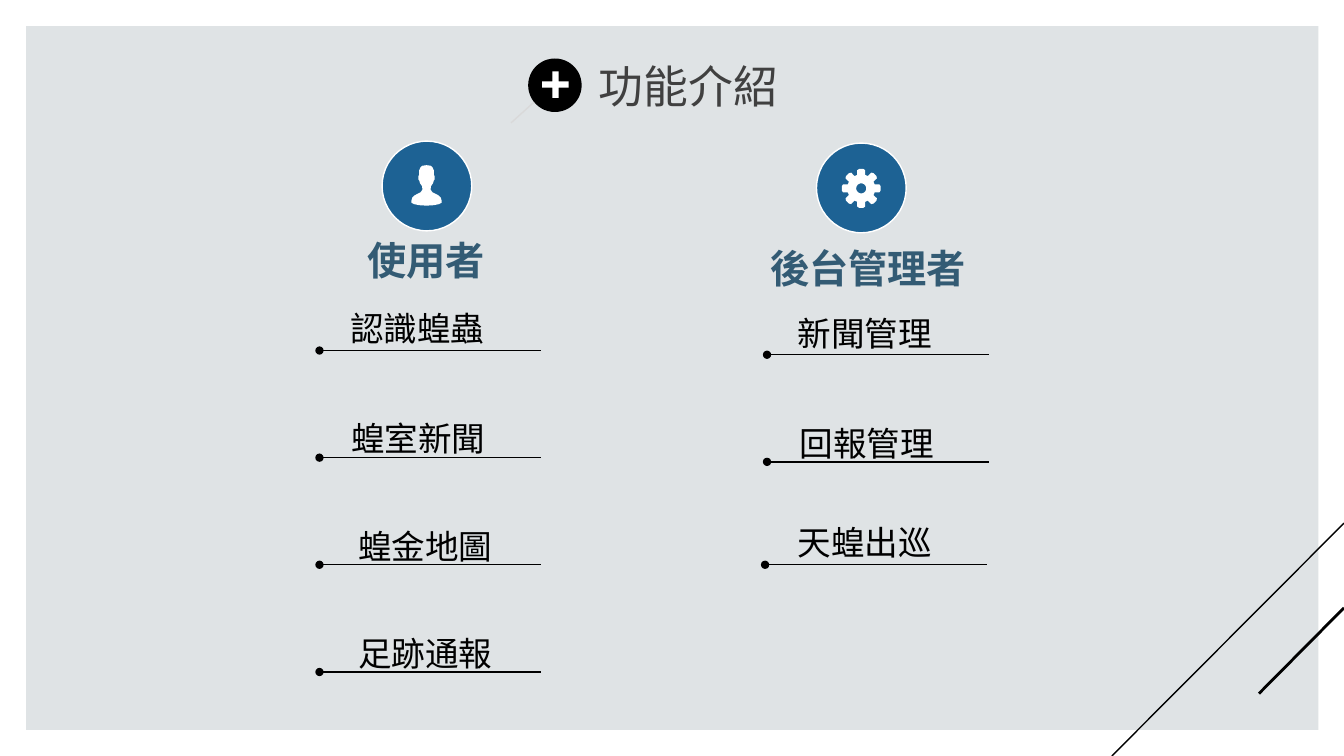
"""Build the feature overview slide with its user and administrator columns."""
from dataclasses import dataclass
from math import cos, radians, sin

from lxml.etree import SubElement
from pptx import Presentation
from pptx.dml.color import RGBColor
from pptx.enum.shapes import MSO_CONNECTOR as Connector, MSO_SHAPE as Preset
from pptx.enum.text import MSO_ANCHOR as Anchor, MSO_AUTO_SIZE as AutoSize, PP_ALIGN as Align
from pptx.oxml.ns import qn
from pptx.util import Pt

FONT = "League Spartan"
BLACK, WHITE, BLUE, SLATE = "000000", "FFFFFF", "1D6294", "335B74"
RULE_LENGTH = 158.4
BADGE_SIZE = 64.1

Point = tuple[float, float]


@dataclass
class Feature:
    text: str
    left: float
    top: float
    rule_left: float
    rule_top: float


@dataclass
class Role:
    name: str
    left: float
    top: float
    width: float
    badge_left: float
    badge_top: float
    icon: list[list[Point]]


@dataclass
class Stroke:
    start: Point
    end: Point
    color: str = BLACK
    width: float = 1
    dotted_start: bool = False


def color(value: str) -> RGBColor:
    return RGBColor.from_string(value)


def style(shape, fill: str, outline: str = "") -> None:
    shape.shadow.inherit = False
    shape.fill.solid()
    shape.fill.fore_color.rgb = color(fill)
    if outline:
        shape.line.color.rgb = color(outline)
        shape.line.width = Pt(1)
    else:
        shape.line.fill.background()


def add_preset(page, preset, left: float, top: float, width: float, height: float,
               fill: str, outline: str = ""):
    shape = page.shapes.add_shape(preset, Pt(left), Pt(top), Pt(width), Pt(height))
    style(shape, fill, outline)
    return shape


def add_stroke(page, stroke: Stroke) -> None:
    line = page.shapes.add_connector(
        Connector.STRAIGHT, *map(Pt, stroke.start), *map(Pt, stroke.end))
    line.line.color.rgb = color(stroke.color)
    line.line.width = Pt(stroke.width)
    properties = line.element.spPr
    if stroke.dotted_start:
        SubElement(properties.find(qn("a:ln")), qn("a:headEnd"), type="oval")
    SubElement(properties, qn("a:effectLst"))


def add_outline(page, contours: list[list[Point]], fill: str) -> None:
    first, *others = [[(Pt(x), Pt(y)) for x, y in contour] for contour in contours]
    builder = page.shapes.build_freeform(*first[0], scale=1.0)
    builder.add_line_segments(first[1:], close=True)
    for contour in others:
        builder.move_to(*contour[0])
        builder.add_line_segments(contour[1:], close=True)
    style(builder.convert_to_shape(), fill)


def write(box, text: str, size: float, ink: str, align=Align.CENTER,
          anchor=Anchor.TOP, bold: bool = False) -> None:
    frame = box.text_frame
    frame.word_wrap = True
    frame.auto_size = AutoSize.NONE
    frame.vertical_anchor = anchor
    para = frame.paragraphs[0]
    para.text = text
    para.alignment = align
    para.font.name = FONT
    para.font.size = Pt(size)
    para.font.bold = bold
    para.font.color.rgb = color(ink)


def add_label(page, text: str, left: float, top: float, width: float, height: float,
              size: float, ink: str, **options) -> None:
    box = page.shapes.add_textbox(Pt(left), Pt(top), Pt(width), Pt(height))
    write(box, text, size, ink, **options)


def polar(center: Point, radius: float, degrees: float) -> Point:
    angle = radians(degrees)
    return center[0] + radius * cos(angle), center[1] + radius * sin(angle)


def person(middle: float, top: float) -> list[list[Point]]:
    half = [(0, 0), (3, 0.4), (4.3, 1.6), (5.2, 3.6), (5.2, 7.2), (5.8, 7.6),
            (5.8, 10.2), (5.2, 11), (4.6, 13), (3.2, 15), (2.9, 17.5), (4.3, 19.4),
            (8.6, 21.6), (10.2, 23.2), (10.8, 25.4), (10.8, 26.8), (9, 27.8),
            (5, 28.6), (0, 28.9)]
    right = [(middle + x, top + y) for x, y in half]
    left = [(middle - x, top + y) for x, y in half[-2:0:-1]]
    return [right + left]


def gear(center: Point) -> list[list[Point]]:
    tooth = [(10, -16.5), (13.3, -12.5), (14, -6), (14, 6), (13.3, 12.5), (10, 16.5)]
    rim = [polar(center, radius, turn + offset)
           for turn in range(0, 360, 45) for radius, offset in tooth]
    hole = [polar(center, 3.6, -turn) for turn in range(0, 360, 15)]
    return [rim, hole]


def add_role(page, role: Role) -> None:
    add_label(page, role.name, role.left, role.top, role.width, 64.8, 28, SLATE,
              anchor=Anchor.MIDDLE, bold=True)
    add_preset(page, Preset.OVAL, role.badge_left, role.badge_top,
               BADGE_SIZE, BADGE_SIZE, BLUE, WHITE)
    add_outline(page, role.icon, WHITE)


def add_feature(page, feature: Feature) -> None:
    start = (feature.rule_left, feature.rule_top)
    end = (feature.rule_left + RULE_LENGTH, feature.rule_top)
    add_stroke(page, Stroke(start, end, dotted_start=True))
    add_label(page, feature.text, feature.left, feature.top, 122.4, 36, 24, BLACK)


ROLES = [
    Role("使用者", 200.2, 153.4, 208.8, 272.9, 100.8, person(304.7, 118)),
    Role("後台管理者", 517.7, 159.1, 204.5, 583.2, 102.2, gear((615.2, 134.6))),
]
FEATURES = [
    Feature("認識蝗蟲", 236.9, 216.7, 228.2, 250.4),
    Feature("蝗室新聞", 237.6, 295.2, 228.2, 326.9),
    Feature("蝗金地圖", 242.6, 372.2, 228.2, 403.4),
    Feature("足跡通報", 242.6, 448.6, 228.2, 480),
    Feature("新聞管理", 556.6, 220.3, 547.9, 253.4),
    Feature("回報管理", 558, 298.8, 547.9, 329.9),
    Feature("天蝗出巡", 556.6, 369.4, 546.5, 403.4),
]
CORNER_STROKES = [
    Stroke((960, 434.2), (899.3, 495.4), width=2),
    Stroke((960, 373.7), (794.2, 540)),
]


def main() -> None:
    deck = Presentation()
    deck.slide_width, deck.slide_height = Pt(960), Pt(540)
    page = deck.slides.add_slide(deck.slide_layouts[5])
    title = page.shapes.title
    panel = add_preset(page, Preset.RECTANGLE, 18.7, 18.7, 923, 502.6, "DFE3E5")
    title.element.addprevious(panel.element)
    title.left, title.top, title.width, title.height = map(Pt, (420.5, 38.2, 208.8, 46.1))
    write(title, "功能介紹", 32, "404040", align=Align.LEFT)

    add_stroke(page, Stroke((365, 87.8), (409.7, 47.5), "D9D9D9"))
    add_preset(page, Preset.OVAL, 377.3, 41.8, 38.2, 38.2, BLACK)
    plus = add_preset(page, Preset.MATH_PLUS, 383.8, 47.5, 25.9, 25.9, WHITE)
    plus.adjustments[0] = 0.175
    for stroke in CORNER_STROKES:
        add_stroke(page, stroke)
    for role in ROLES:
        add_role(page, role)
    for feature in FEATURES:
        add_feature(page, feature)
    deck.save("out.pptx")


if __name__ == "__main__":
    main()
